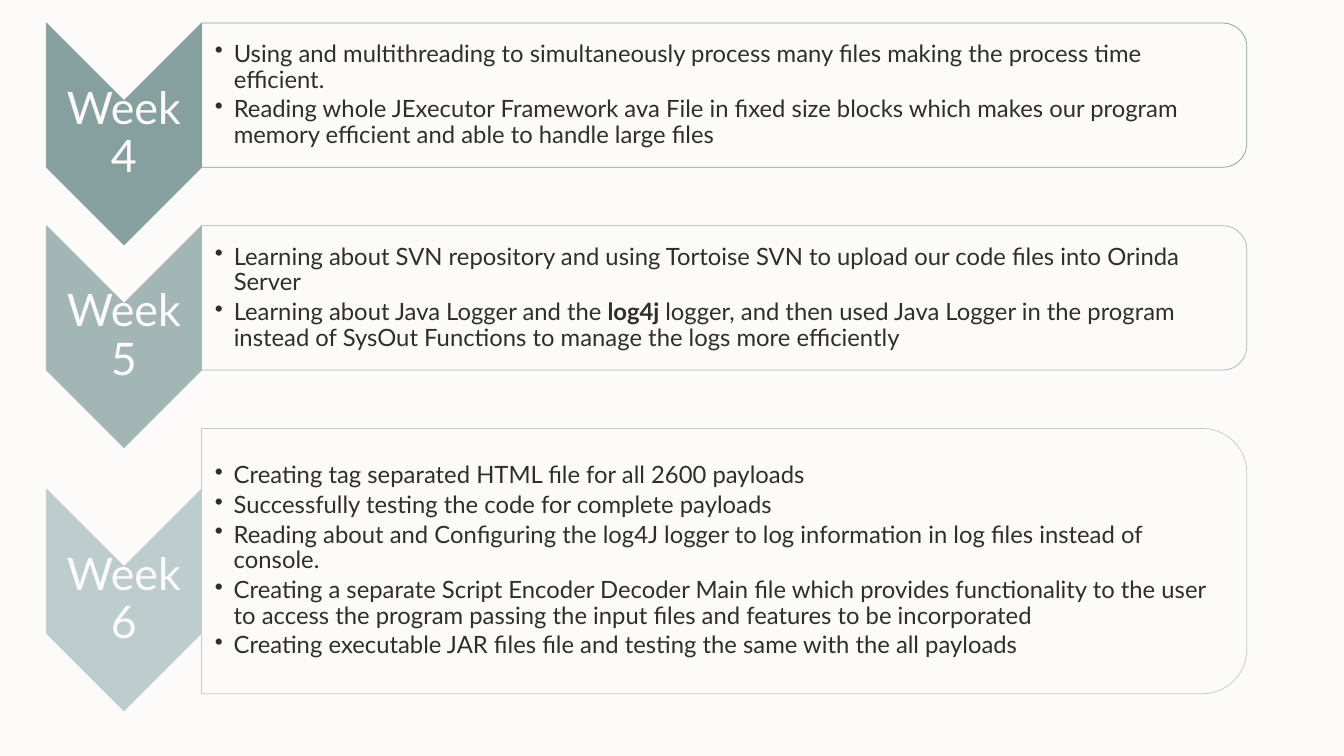
import pptx
import pptx.dml.color
import pptx.enum.shapes
import pptx.enum.text
import pptx.oxml.ns
import pptx.util
from lxml import etree

Pt = pptx.util.Pt
SHAPES = pptx.enum.shapes.MSO_SHAPE
ALIGN = pptx.enum.text.PP_ALIGN
COLORS = {"paper": "FCFBFA", "ink": "312D2A"}

CHEVRON_LENGTH, CHEVRON_WIDTH = 158.4, 110.9
CHEVRON_LEFT, CHEVRON_DROP = 33.1, 27.7
PANEL_LEFT, PANEL_WIDTH = 144, 746.6
FIRST_TOP, PANEL_GAP = 16.5, 41.8
CORNER_INSET = 0.1667 * 0.293  # share of panel height lost to each round corner

# label, colour, panel height, bullets; every bullet is a list of (text, bold) runs
WEEKS = [
    ("Week 4", "869F9F", 103, [
        [("Using and multithreading to simultaneously process many files making "
          "the process time efficient.", False)],
        [("Reading whole JExecutor Framework ava File in fixed size blocks which "
          "makes our program memory efficient and able to handle large files", False)],
    ]),
    ("Week 5", "A2B6B6", 103, [
        [("Learning about SVN repository and using Tortoise SVN to upload our code "
          "files into Orinda Server", False)],
        [("Learning about Java Logger and the", False),
         (" log4j ", True),
         ("logger, and then used Java Logger in the program instead of SysOut "
          "Functions to manage the logs more efficiently", False)],
    ]),
    ("Week 6", "BDCCCC", 189.4, [
        [("Creating tag separated HTML file for all 2600 payloads", False)],
        [("Successfully testing the code for complete payloads", False)],
        [("Reading about and Configuring the log4J logger to log information in log "
          "files instead of console.", False)],
        [("Creating a separate Script Encoder Decoder Main file which provides "
          "functionality to the user to access the program passing the input files "
          "and features to be incorporated", False)],
        [("Creating executable JAR files file and testing the same with the all "
          "payloads", False)],
    ]),
]


def rgb(value):
    return pptx.dml.color.RGBColor.from_string(value)


class WeekSlide:
    font = "Lato"
    label_size, bullet_size = 32, 17

    def __init__(self, deck):
        self.slide = deck.slides.add_slide(deck.slide_layouts[6])
        backdrop = self.slide.background.fill
        backdrop.solid()
        backdrop.fore_color.rgb = rgb(COLORS["paper"])

    def turned_shape(self, kind, center_x, center_y, length, breadth, fill, line):
        """Add a shape turned a quarter clockwise about its centre."""
        shape = self.slide.shapes.add_shape(
            kind, Pt(center_x - length / 2), Pt(center_y - breadth / 2),
            Pt(length), Pt(breadth))
        shape.rotation = 90
        shape.shadow.inherit = False
        shape.fill.solid()
        shape.fill.fore_color.rgb = rgb(fill)
        shape.line.color.rgb = rgb(line)
        shape.line.width = Pt(0.5)
        return shape

    def text_frame(self, left, top, width, height, insets):
        frame = self.slide.shapes.add_textbox(
            Pt(left), Pt(top), Pt(width), Pt(height)).text_frame
        frame.word_wrap = True
        frame.vertical_anchor = pptx.enum.text.MSO_ANCHOR.MIDDLE
        (frame.margin_left, frame.margin_top,
         frame.margin_right, frame.margin_bottom) = map(Pt, insets)
        return frame

    def run(self, paragraph, text, size, color, bold=False):
        run = paragraph.add_run()
        run.text = text
        run.font.name = self.font
        run.font.size = Pt(size)
        run.font.bold = bold
        run.font.color.rgb = rgb(color)

    def chevron(self, label, color, center_y):
        center_x = CHEVRON_LEFT + CHEVRON_WIDTH / 2
        self.turned_shape(SHAPES.CHEVRON, center_x, center_y,
                          CHEVRON_LENGTH, CHEVRON_WIDTH, color, color)
        height = CHEVRON_LENGTH - CHEVRON_WIDTH
        frame = self.text_frame(CHEVRON_LEFT, center_y - height / 2,
                                CHEVRON_WIDTH, height, (6, 1.4, 6, 1.4))
        paragraph = frame.paragraphs[0]
        paragraph.alignment = ALIGN.CENTER
        paragraph.line_spacing = 0.9
        self.run(paragraph, label, self.label_size, COLORS["paper"])

    def panel(self, color, top, height, bullets):
        panel = self.turned_shape(
            SHAPES.ROUND_2_SAME_RECTANGLE, PANEL_LEFT + PANEL_WIDTH / 2,
            top + height / 2, height, PANEL_WIDTH, COLORS["paper"], color)
        qn = pptx.oxml.ns.qn
        fill_color = panel.fill._xPr.find(qn("a:solidFill"))[0]
        etree.SubElement(fill_color, qn("a:alpha"), val="90000")

        inset = height * CORNER_INSET
        frame = self.text_frame(PANEL_LEFT, top + inset, PANEL_WIDTH - inset,
                                height - 2 * inset, (9.5, 0.8, 0.8, 0.8))
        for index, runs in enumerate(bullets):
            paragraph = frame.add_paragraph() if index else frame.paragraphs[0]
            self.bullet(paragraph, runs)

    def bullet(self, paragraph, runs):
        properties = paragraph._p.get_or_add_pPr()
        properties.set("marL", str(Pt(13.5)))
        properties.set("indent", str(Pt(-13.5)))
        etree.SubElement(properties, pptx.oxml.ns.qn("a:buChar"), char="•")
        paragraph.level = 1
        paragraph.alignment = ALIGN.LEFT
        paragraph.line_spacing = 0.9
        paragraph.space_after = Pt(2.8)
        for text, bold in runs:
            self.run(paragraph, text, self.bullet_size, COLORS["ink"], bold)


def main():
    deck = pptx.Presentation()
    deck.slide_width, deck.slide_height = Pt(960), Pt(540)
    slide = WeekSlide(deck)
    top = FIRST_TOP
    for label, color, height, bullets in WEEKS:
        slide.chevron(label, color, top + height / 2 + CHEVRON_DROP)
        slide.panel(color, top, height, bullets)
        top += height + PANEL_GAP
    deck.save("out.pptx")


if __name__ == "__main__":
    main()
